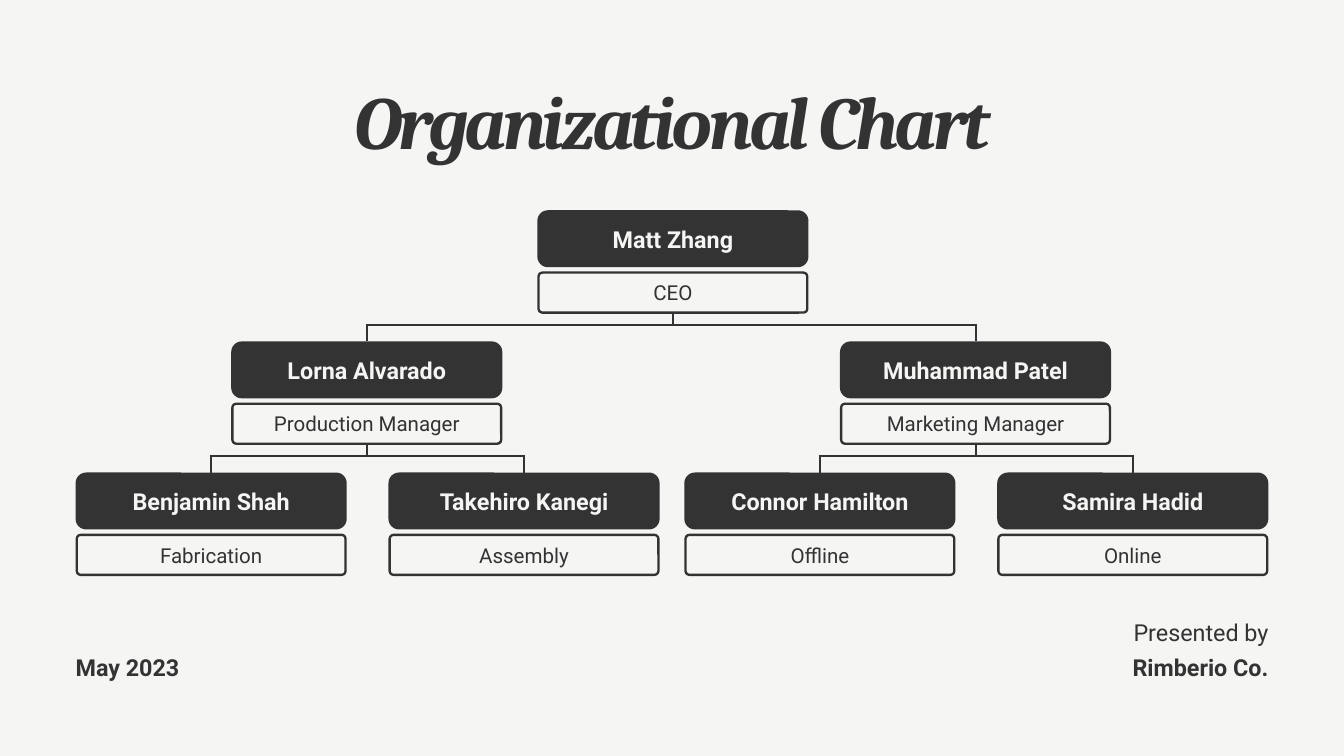
from dataclasses import dataclass

from lxml import etree
from pptx import Presentation
from pptx import util as u
from pptx.dml import color
from pptx.enum import shapes, text
from pptx.oxml import ns


@dataclass(frozen=True)
class Theme:
    """Colours, fonts and type sizes."""
    ink: color.RGBColor = color.RGBColor(0x33, 0x33, 0x33)
    paper: color.RGBColor = color.RGBColor(0xF5, 0xF5, 0xF4)
    title_font: str = "Cambria"
    body_font: str = "Roboto"
    title_size: float = 80
    name_size: float = 25
    role_size: float = 22
    title_tracking: float = -3.9


@dataclass(frozen=True)
class Person:
    """One member of the organization, with the people reporting to them."""
    name: str
    role: str
    center: float
    reports: tuple = ()


THEME = Theme()
BOX_WIDTH = 290.5
NAME_HEIGHT = 61
ROLE_HEIGHT = 45.4
ROLE_OFFSET = 65.5
ROLE_BORDER = 2.5
LINK_WIDTH = 2.25
CHART_TOP = 225.3
LEVEL_STEP = 140.5
BUS_OFFSET = 122.75
MARGIN = 81

STAFF = Person("Matt Zhang", "CEO", 721, (
    Person("Lorna Alvarado", "Production Manager", 393, (
        Person("Benjamin Shah", "Fabrication", 226.25),
        Person("Takehiro Kanegi", "Assembly", 561.5),
    )),
    Person("Muhammad Patel", "Marketing Manager", 1045.25, (
        Person("Connor Hamilton", "Offline", 878.5),
        Person("Samira Hadid", "Online", 1213.75),
    )),
))


def write(shape, wording, size, leading, ink=THEME.ink, bold=False,
          align=text.PP_ALIGN.CENTER, font=THEME.body_font):
    """Put one styled line of text in a shape and return its run."""
    frame = shape.text_frame
    frame.text = wording
    frame.word_wrap = True
    frame.margin_left = frame.margin_right = u.Pt(0)
    frame.margin_top = frame.margin_bottom = u.Pt(0)
    para = frame.paragraphs[0]
    para.alignment = align
    para.line_spacing = u.Pt(leading)
    span = para.runs[0]
    span.font.name = font
    span.font.size = u.Pt(size)
    span.font.bold = bold
    span.font.color.rgb = ink
    return span


def add_label(page, left, top, width, height, *wording, **style):
    """Add a text box and return its run."""
    box = page.shapes.add_textbox(u.Pt(left), u.Pt(top), u.Pt(width), u.Pt(height))
    return write(box, *wording, **style)


def add_box(page, left, top, width, height, radius):
    """Add a rounded rectangle with vertically centred text."""
    box = page.shapes.add_shape(
        shapes.MSO_SHAPE.ROUNDED_RECTANGLE,
        u.Pt(left), u.Pt(top), u.Pt(width), u.Pt(height))
    box.adjustments[0] = radius / height
    box.shadow.inherit = False
    box.text_frame.vertical_anchor = text.MSO_ANCHOR.MIDDLE
    return box


def add_card(page, person, top):
    """Add a person's name and role boxes and return both."""
    left = person.center - BOX_WIDTH / 2
    name = add_box(page, left, top, BOX_WIDTH, NAME_HEIGHT, 11.3)
    name.fill.solid()
    name.fill.fore_color.rgb = THEME.ink
    name.line.fill.background()
    write(name, person.name, THEME.name_size, 30, THEME.paper, bold=True)

    inset = ROLE_BORDER / 2
    role = add_box(page, left + inset, top + ROLE_OFFSET + inset,
                   BOX_WIDTH - ROLE_BORDER, ROLE_HEIGHT - ROLE_BORDER, 4.2)
    role.fill.background()
    role.line.color.rgb = THEME.ink
    role.line.width = u.Pt(ROLE_BORDER)
    write(role, person.role, THEME.role_size, 26.4)
    return name, role


def add_link(page, x1, y1, x2, y2):
    """Add one straight segment of the chart's branches."""
    link = page.shapes.add_connector(
        shapes.MSO_CONNECTOR.STRAIGHT, u.Pt(x1), u.Pt(y1), u.Pt(x2), u.Pt(y2))
    link.line.color.rgb = THEME.ink
    link.line.width = u.Pt(LINK_WIDTH)
    etree.SubElement(link._element.spPr, ns.qn("a:effectLst"))
    return link


def add_branch(page, person, top):
    """Add a person and everyone below them, and return the name box."""
    name, role = add_card(page, person, top)
    if person.reports:
        bus, below = top + BUS_OFFSET, top + LEVEL_STEP
        trunk = add_link(page, person.center, bus, person.center, bus)
        trunk.begin_connect(role, 2)
        centers = [report.center for report in person.reports]
        overhang = LINK_WIDTH / 2
        add_link(page, min(centers) - overhang, bus, max(centers) + overhang, bus)
        for report in person.reports:
            child = add_branch(page, report, below)
            drop = add_link(page, report.center, bus, report.center, below)
            drop.end_connect(child, 0)
    return name


def add_title(page):
    """Add the tightly tracked heading."""
    span = add_label(page, 247.5, 80.6, 945, 96, "Organizational Chart",
                     THEME.title_size, 96, bold=True, font=THEME.title_font)
    span.font.italic = True
    span._r.get_or_add_rPr().set("spc", str(round(THEME.title_tracking * 100)))


def add_footer(page):
    """Add the date on the left and the presenter on the right."""
    width, height = 397, 34
    right = 1440 - MARGIN - width
    for left, top, wording, bold, align in (
        (right, 657.4, "Presented by", False, text.PP_ALIGN.RIGHT),
        (MARGIN, 694.8, "May 2023", True, text.PP_ALIGN.LEFT),
        (right, 694.8, "Rimberio Co.", True, text.PP_ALIGN.RIGHT),
    ):
        add_label(page, left, top, width, height, wording,
                  THEME.name_size, 35, bold=bold, align=align)


def main():
    """Build the organizational chart and save it."""
    deck = Presentation()
    deck.slide_width, deck.slide_height = u.Pt(1440), u.Pt(810)
    page = deck.slides.add_slide(deck.slide_layouts[6])
    page.background.fill.solid()
    page.background.fill.fore_color.rgb = THEME.paper
    add_branch(page, STAFF, CHART_TOP)
    add_title(page)
    add_footer(page)
    deck.save("out.pptx")


if __name__ == "__main__":
    main()
